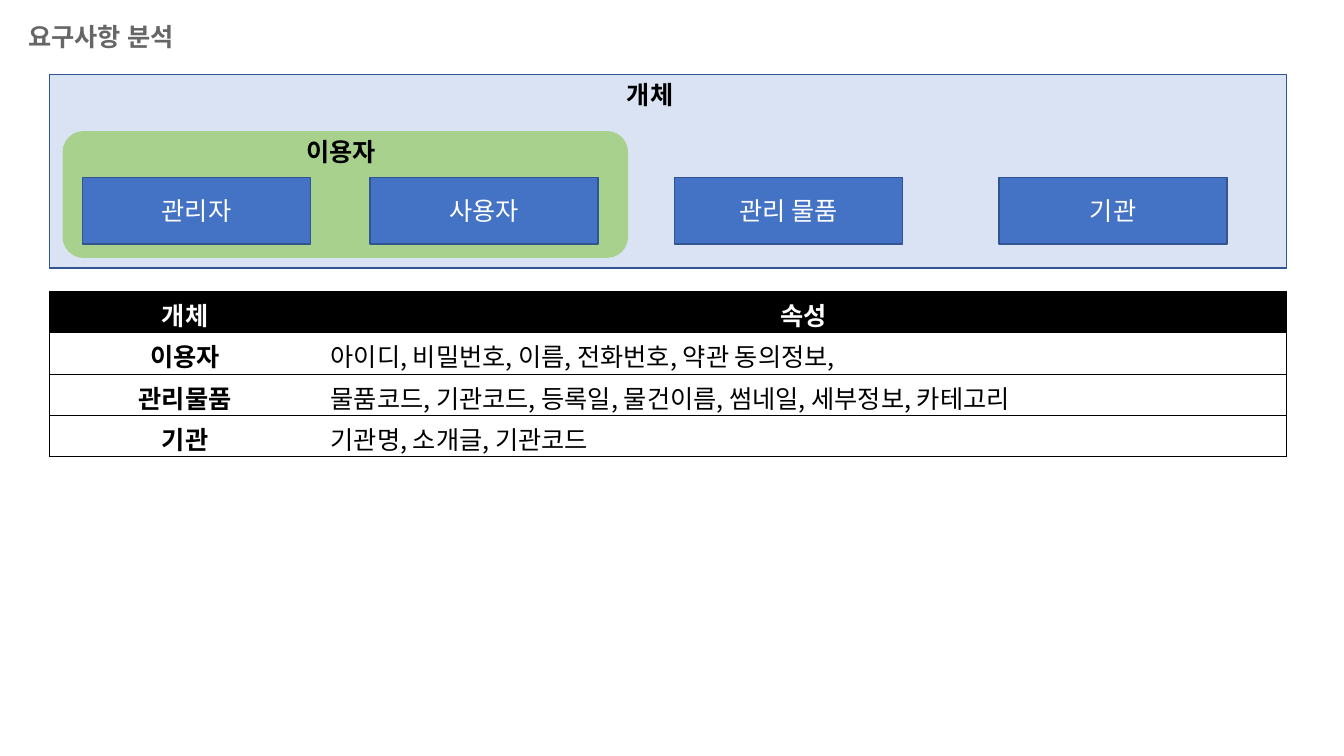
from lxml.etree import SubElement
from pptx import Presentation
from pptx.dml.color import RGBColor
from pptx.enum.shapes import MSO_SHAPE as Shape
from pptx.enum.text import MSO_ANCHOR as Anchor, MSO_AUTO_SIZE as AutoSize, PP_ALIGN as Align
from pptx.oxml.ns import qn
from pptx.util import Inches, Pt

COLORS = {
    "title": "666666", "panel": "DAE3F3", "outline": "325491", "group": "A9D18E",
    "box": "4472C4", "white": "FFFFFF", "black": "000000",
}
BODY_FONT = "Noto Sans CJK KR"


def write(text_frame, text, color, bold=False, align=Align.LEFT, font=BODY_FONT):
    """Put one 18 pt line into a text frame, with its Latin and Korean font."""
    text_frame.text = text
    paragraph = text_frame.paragraphs[0]
    paragraph.alignment = align
    run = paragraph.runs[0]
    run.font.size = Pt(18)
    run.font.bold = bold
    run.font.name = font
    run.font.color.rgb = RGBColor.from_string(COLORS[color])
    SubElement(run.font._element, qn("a:ea"), typeface=font)


def add_block(kind, left, top, width, height, fill, outline=None):
    """Add a filled shape without shadow and return it."""
    shape = slide.shapes.add_shape(kind, Inches(left), Inches(top), Inches(width), Inches(height))
    shape.shadow.inherit = False
    shape.fill.solid()
    shape.fill.fore_color.rgb = RGBColor.from_string(COLORS[fill])
    if outline:
        shape.line.color.rgb = RGBColor.from_string(COLORS[outline])
        shape.line.width = Pt(1)
    else:
        shape.line.fill.background()
    return shape


presentation = Presentation()
presentation.slide_width = Inches(13.33)
presentation.slide_height = Inches(7.5)
slide = presentation.slides.add_slide(presentation.slide_layouts[5])

# Title
title = slide.shapes.title
title.left, title.top, title.width, title.height = map(Inches, (0.18, 0.16, 1.87, 0.4))
title.text_frame.auto_size = AutoSize.NONE
title.text_frame.vertical_anchor = Anchor.TOP
write(title.text_frame, "요구사항 분석", "title", bold=True, font="Noto Sans")

# Entity panel with the user group
add_block(Shape.RECTANGLE, 0.49, 0.74, 12.27, 1.92, "panel", "outline")
add_block(Shape.ROUNDED_RECTANGLE, 0.62, 1.3, 5.61, 1.26, "group")

for text, left in (("관리자", 0.82), ("사용자", 3.67), ("관리 물품", 6.69), ("기관", 9.91)):
    box = add_block(Shape.RECTANGLE, left, 1.76, 2.26, 0.66, "box", "outline")
    box.text_frame.vertical_anchor = Anchor.MIDDLE
    write(box.text_frame, text, "white", align=Align.CENTER)

for text, left, top, width in (("개체", 6.12, 0.74, 0.71), ("이용자", 2.94, 1.3, 0.96)):
    label = slide.shapes.add_textbox(Inches(left), Inches(top), Inches(width), Inches(0.4))
    label.text_frame.word_wrap = False
    write(label.text_frame, text, "black", bold=True)

# Attribute table
rows = [
    ("개체", "속성"),
    ("이용자", "아이디, 비밀번호, 이름, 전화번호, 약관 동의정보,"),
    ("관리물품", "물품코드, 기관코드, 등록일, 물건이름, 썸네일, 세부정보, 카테고리"),
    ("기관", "기관명, 소개글, 기관코드"),
]
table = slide.shapes.add_table(
    len(rows), 2, Inches(0.49), Inches(2.89), Inches(12.27), Inches(1.62)).table
table.horz_banding = False
for column, width in zip(table.columns, (2.69, 9.58)):
    column.width = Inches(width)

for row_index, texts in enumerate(rows):
    table.rows[row_index].height = Inches(0.41)
    is_header = row_index == 0
    for column_index, text in enumerate(texts):
        cell = table.cell(row_index, column_index)
        is_name = column_index == 0
        write(cell.text_frame, text, "white" if is_header else "black",
              bold=is_header or is_name,
              align=Align.CENTER if is_header or is_name else Align.LEFT)

        # Every edge is ruled except the one between the two columns
        open_edge = "a:lnR" if is_name else "a:lnL"
        properties = cell._tc.get_or_add_tcPr()
        for edge in ("a:lnL", "a:lnR", "a:lnT", "a:lnB"):
            border = SubElement(properties, qn(edge), w=str(Pt(0.5)))
            if edge == open_edge:
                SubElement(border, qn("a:noFill"))
            else:
                border_fill = SubElement(border, qn("a:solidFill"))
                SubElement(border_fill, qn("a:srgbClr"), val=COLORS["black"])
        cell.fill.solid()
        cell.fill.fore_color.rgb = RGBColor.from_string(COLORS["black" if is_header else "white"])

presentation.save("out.pptx")
